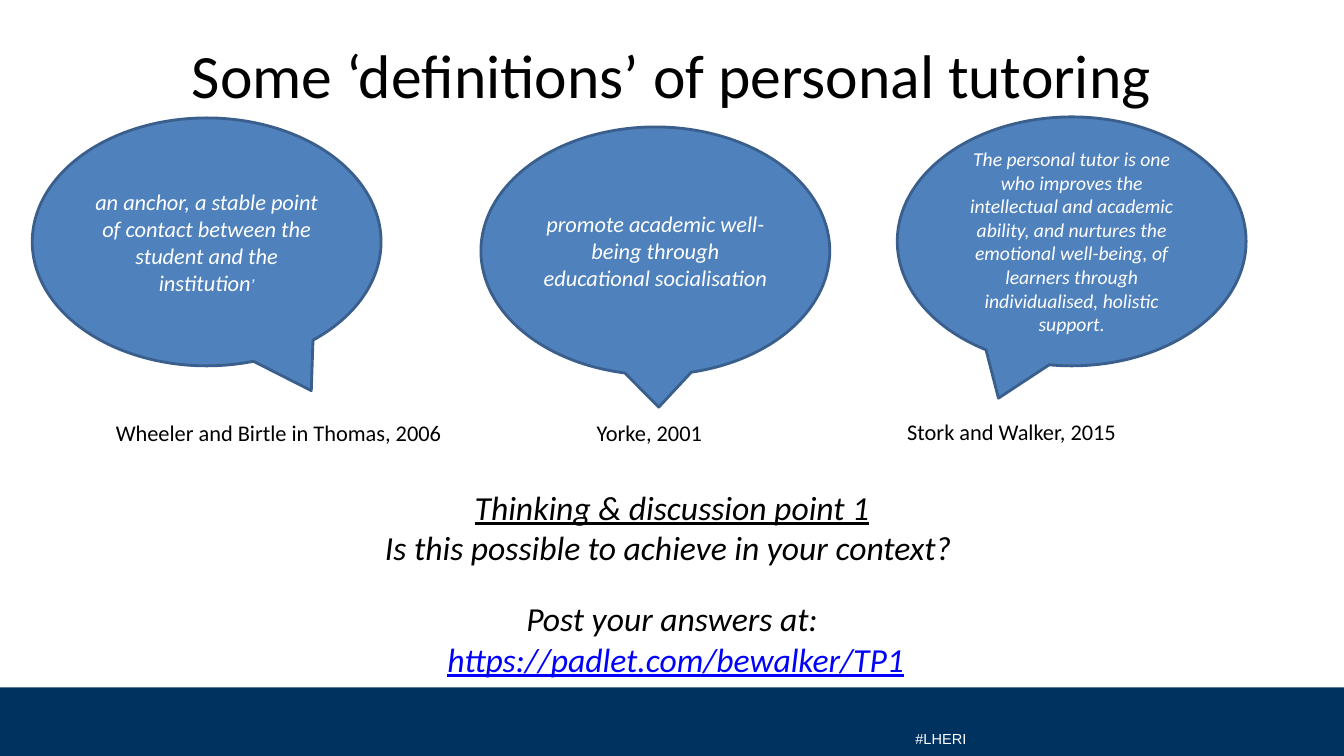
from dataclasses import dataclass

from pptx import Presentation
from pptx.dml.color import RGBColor
from pptx.enum import shapes, text
from pptx.util import Inches, Pt

WHITE = RGBColor(0xFF, 0xFF, 0xFF)
BLACK = RGBColor(0, 0, 0)
NAVY = RGBColor(0x00, 0x32, 0x5F)
BLUE = RGBColor(0x4F, 0x81, 0xBD)
OUTLINE = RGBColor(0x3A, 0x5F, 0x8C)
LINK = RGBColor(0, 0, 0xFF)
CENTER = text.PP_ALIGN.CENTER


@dataclass(frozen=True)
class Box:
    left: float
    top: float
    width: float
    height: float

    def lengths(self):
        return [Inches(v) for v in (self.left, self.top, self.width, self.height)]


@dataclass(frozen=True)
class Definition:
    quote: str
    size: int
    bubble: Box
    tail: tuple[float, float]
    source: str
    source_box: Box
    closing: str = ""


DEFINITIONS = [
    Definition(
        "The personal tutor is one who improves the intellectual and academic "
        "ability, and nurtures the emotional well-being, of learners through "
        "individualised, holistic support.",
        14, Box(8.9, 1.16, 3.46, 2.47), (-0.21, 0.63),
        "Stork and Walker, 2015", Box(8.9, 4.1, 2.63, 0.37)),
    Definition(
        "promote academic well-being through educational socialisation",
        16, Box(4.77, 1.26, 3.46, 2.46), (0.01, 0.63),
        "Yorke, 2001", Box(5.82, 4.11, 1.38, 0.37)),
    Definition(
        "an anchor, a stable point of contact between the student and the institution",
        16, Box(0.32, 1.17, 3.46, 2.46), (0.3, 0.6),
        "Wheeler and Birtle in Thomas, 2006", Box(1.05, 4.11, 3.92, 0.37), "’"),
]


def style(font, size: int, color: RGBColor, name: str = "Calibri", italic: bool = False) -> None:
    font.size = Pt(size)
    font.name = name
    font.italic = italic
    font.color.rgb = color


def add_run(p, words: str):
    r = p.add_run()
    r.text = words
    return r


def add_filled(s, kind, box: Box, fill: RGBColor):
    sp = s.shapes.add_shape(kind, *box.lengths())
    sp.shadow.inherit = False
    sp.fill.solid()
    sp.fill.fore_color.rgb = fill
    return sp


def add_text(s, box: Box):
    tf = s.shapes.add_textbox(*box.lengths()).text_frame
    tf.word_wrap = True
    return tf


def add_definition(s, d: Definition) -> None:
    sp = add_filled(s, shapes.MSO_SHAPE.OVAL_CALLOUT, d.bubble, BLUE)
    sp.line.color.rgb = OUTLINE
    sp.line.width = Pt(2)
    sp.adjustments[0], sp.adjustments[1] = d.tail
    tf = sp.text_frame
    tf.word_wrap = True
    tf.vertical_anchor = text.MSO_ANCHOR.MIDDLE
    p = tf.paragraphs[0]
    p.alignment = CENTER
    style(p.font, d.size, WHITE, italic=True)
    add_run(p, d.quote)
    if d.closing:
        style(add_run(p, d.closing).font, 12, WHITE, "Arial", italic=True)

    p = add_text(s, d.source_box).paragraphs[0]
    style(p.font, 16, BLACK)
    add_run(p, d.source)


def add_footer(s) -> None:
    sp = add_filled(s, shapes.MSO_SHAPE.RECTANGLE, Box(0, 6.82, 13.33, 0.68), NAVY)
    sp.line.fill.background()
    p = add_text(s, Box(8.98, 7.02, 1.05, 0.3)).paragraphs[0]
    style(p.font, 18, WHITE, "Arial")
    r = add_run(p, "#LHERI")
    r._r.get_or_add_rPr().set("baseline", "-25000")


def add_title(s) -> None:
    sp = s.shapes.title
    sp.left, sp.top, sp.width, sp.height = Box(0.53, 0.31, 12.27, 0.85).lengths()
    tf = sp.text_frame
    tf.vertical_anchor = text.MSO_ANCHOR.MIDDLE
    p = tf.paragraphs[0]
    p.alignment = CENTER
    style(p.font, 44, BLACK)
    add_run(p, "Some ‘definitions’ of personal tutoring")


def add_discussion(s) -> None:
    tf = add_text(s, Box(0.46, 4.78, 12.41, 2.73))
    lines = ["Thinking & discussion point 1", "Is this possible to achieve in your context? ",
             "Post your answers at:", " "]
    for i, line in enumerate(lines):
        p = tf.add_paragraph() if i else tf.paragraphs[0]
        p.alignment = CENTER
        style(p.font, 24, BLACK, italic=True)
        add_run(p, line)
    heading, _, invitation, address = tf.paragraphs
    heading.font.underline = True
    invitation.space_before = Pt(22)
    r = add_run(address, "https://padlet.com/bewalker/TP1")
    r.font.color.rgb = LINK
    r.font.underline = True


def main() -> None:
    prs = Presentation()
    prs.slide_width, prs.slide_height = Inches(13.33), Inches(7.5)
    s = prs.slides.add_slide(prs.slide_layouts[5])
    add_footer(s)
    add_title(s)
    for d in DEFINITIONS:
        add_definition(s, d)
    add_discussion(s)
    prs.save("out.pptx")


if __name__ == "__main__":
    main()
